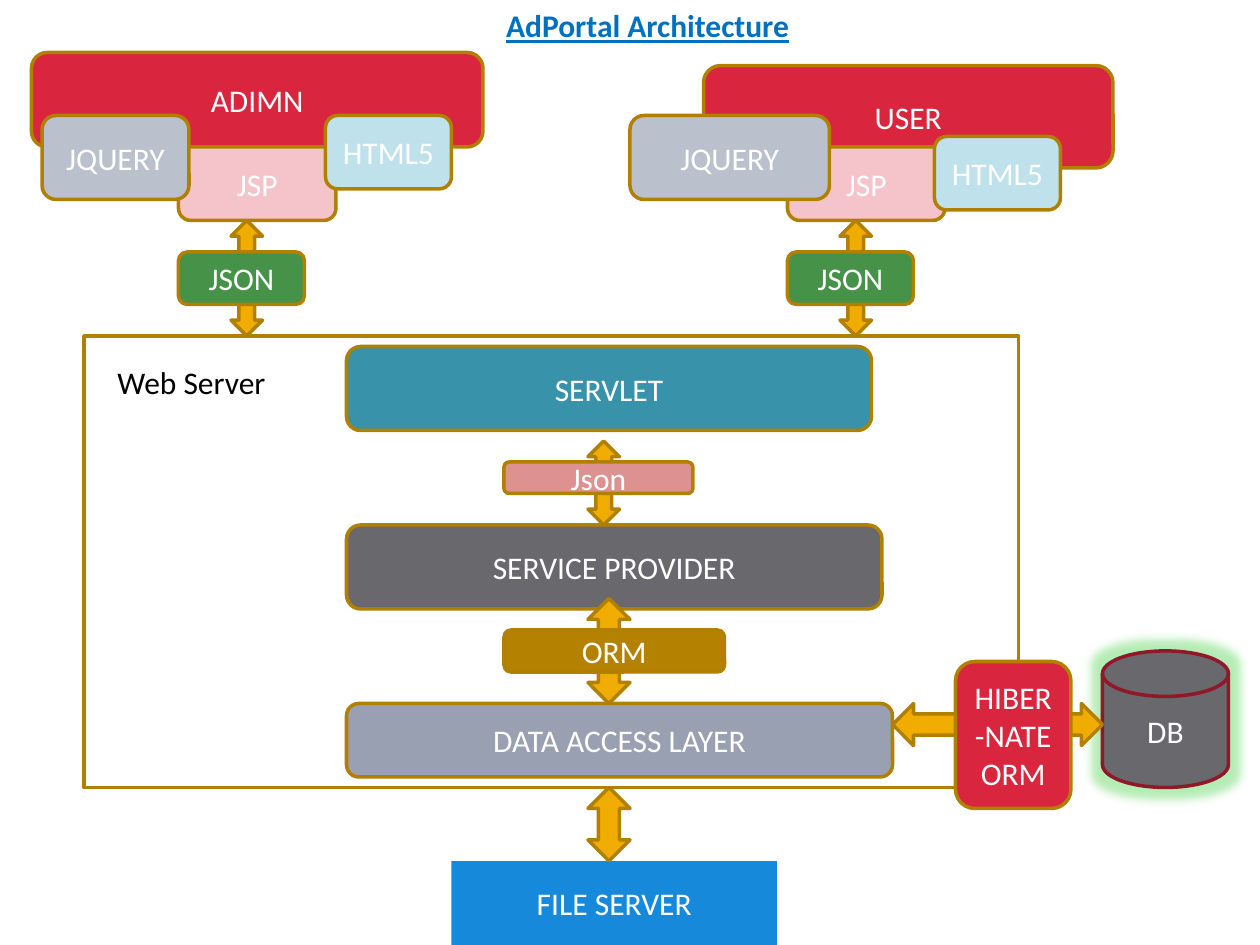
from lxml.etree import SubElement
from pptx import Presentation
from pptx.dml.color import RGBColor
from pptx.enum.shapes import MSO_SHAPE
from pptx.enum.text import MSO_ANCHOR, PP_ALIGN
from pptx.oxml.ns import qn
from pptx.util import Inches, Pt

COLUMNS, ROWS = 120, 90
CELL = Inches(10) / COLUMNS

WHITE = RGBColor(0xFF, 0xFF, 0xFF)
BLACK = RGBColor(0x00, 0x00, 0x00)
TITLE_BLUE = RGBColor(0x00, 0x70, 0xC0)
SERVER_BLUE = RGBColor(0x16, 0x89, 0xDB)
RED = RGBColor(0xD9, 0x25, 0x3E)
DARK_RED = RGBColor(0x90, 0x19, 0x29)
PINK = RGBColor(0xF5, 0xC4, 0xCB)
ROSE = RGBColor(0xDD, 0x91, 0x91)
PALE_BLUE = RGBColor(0xBF, 0xE1, 0xEB)
PALE_GREY = RGBColor(0xBA, 0xC0, 0xCC)
SLATE = RGBColor(0x98, 0xA0, 0xB2)
DARK_GREY = RGBColor(0x68, 0x68, 0x6D)
TEAL = RGBColor(0x37, 0x92, 0xAA)
GREEN = RGBColor(0x47, 0x92, 0x49)
GOLD = RGBColor(0xF0, 0xAD, 0x00)
BRONZE = RGBColor(0xB4, 0x82, 0x00)
OUTLINE = RGBColor(0xB2, 0x80, 0x00)
GLOW_GREEN = RGBColor(0x47, 0xD1, 0x47)


def grid(*cells):
    """Turn columns and rows into slide lengths."""
    return [round(cell * CELL) for cell in cells]


def write_text(shape, text, color=WHITE, align=PP_ALIGN.CENTER,
               anchor=MSO_ANCHOR.MIDDLE, bold=False, underline=False):
    frame = shape.text_frame
    frame.word_wrap = True
    frame.vertical_anchor = anchor
    paragraph = frame.paragraphs[0]
    paragraph.alignment = align
    run = paragraph.add_run()
    run.text = text
    font = run.font
    font.name, font.size = "Calibri", Pt(18)
    font.bold, font.underline = bold, underline
    font.color.rgb = color


def add_block(slide, cells, fill=None, text=None, line=OUTLINE,
              kind=MSO_SHAPE.ROUNDED_RECTANGLE):
    shape = slide.shapes.add_shape(kind, *grid(*cells))
    shape.shadow.inherit = False
    if fill is None:
        shape.fill.background()
    else:
        shape.fill.solid()
        shape.fill.fore_color.rgb = fill
    if line is None:
        shape.line.fill.background()
    else:
        shape.line.color.rgb = line
        shape.line.width = Pt(2)
    if text:
        write_text(shape, text)
    return shape


def add_arrow(slide, cells, kind=MSO_SHAPE.UP_DOWN_ARROW):
    add_block(slide, cells, GOLD, kind=kind)


def add_glow(shape, color, radius):
    effects = shape._element.spPr.find(qn("a:effectLst"))
    glow = SubElement(effects, qn("a:glow"), rad=str(radius))
    tint = SubElement(glow, qn("a:srgbClr"), val=str(color))
    SubElement(tint, qn("a:alpha"), val="40000")


def add_title(slide, text):
    title = slide.shapes.title
    title.left, title.top, title.width, title.height = grid(47, 0, 47, 4.8)
    write_text(title, text, TITLE_BLUE, PP_ALIGN.LEFT, MSO_ANCHOR.TOP,
               bold=True, underline=True)


def add_label(slide, cells, text):
    label = slide.shapes.add_textbox(*grid(*cells))
    write_text(label, text, BLACK, PP_ALIGN.LEFT, MSO_ANCHOR.TOP)


def add_clients(slide):
    for cells, fill, text in (
        ((3, 5, 43, 9), RED, "ADIMN"),
        ((17, 14, 15, 7), PINK, "JSP"),
        ((31, 11, 12, 7), PALE_BLUE, "HTML5"),
        ((67, 6.25, 39, 9.75), RED, "USER"),
        ((75, 14, 15, 7), PINK, "JSP"),
        ((89, 13, 12, 7), PALE_BLUE, "HTML5"),
        ((4, 11, 14, 8), PALE_GREY, "JQUERY"),
        ((60, 11, 19, 8), PALE_GREY, "JQUERY"),
    ):
        add_block(slide, cells, fill, text)


def add_web_server(slide):
    add_block(slide, (8, 32, 89, 43), kind=MSO_SHAPE.FLOWCHART_PROCESS)
    add_label(slide, (10, 34, 21, 4.8), "Web Server")
    add_block(slide, (33, 33, 50, 8), TEAL, "SERVLET")
    add_block(slide, (33, 50, 51, 8), DARK_GREY, "SERVICE PROVIDER")
    add_block(slide, (33, 67, 52, 7), SLATE, "DATA ACCESS LAYER")


def add_stores(slide):
    database = add_block(slide, (105, 62, 12, 13), DARK_GREY, "DB", DARK_RED,
                         MSO_SHAPE.FLOWCHART_MAGNETIC_DISK)
    add_glow(database, GLOW_GREEN, Pt(11))
    add_block(slide, (43, 82, 31, 8), SERVER_BLUE, "FILE SERVER", None,
              MSO_SHAPE.RECTANGLE)


def add_links(slide):
    for column in (17, 75):
        add_arrow(slide, (column + 5, 21, 3, 11))
        add_block(slide, (column, 24, 12, 5), GREEN, "JSON")
    add_arrow(slide, (56, 42, 3, 8))
    add_block(slide, (48, 44, 18, 3), ROSE, "Json")
    add_arrow(slide, (56, 57, 4, 10))
    add_block(slide, (48, 60, 21, 4), BRONZE, "ORM")
    add_arrow(slide, (56, 75, 4, 7))
    add_arrow(slide, (85, 67, 20, 4), MSO_SHAPE.LEFT_RIGHT_ARROW)
    add_block(slide, (91, 63, 11, 14), RED, "HIBER-NATE ORM")


def main():
    presentation = Presentation()
    presentation.slide_width, presentation.slide_height = grid(COLUMNS, ROWS)
    slide = presentation.slides.add_slide(presentation.slide_layouts[5])
    add_title(slide, "AdPortal Architecture")
    add_clients(slide)
    add_web_server(slide)
    add_stores(slide)
    add_links(slide)
    presentation.save("out.pptx")


if __name__ == "__main__":
    main()
